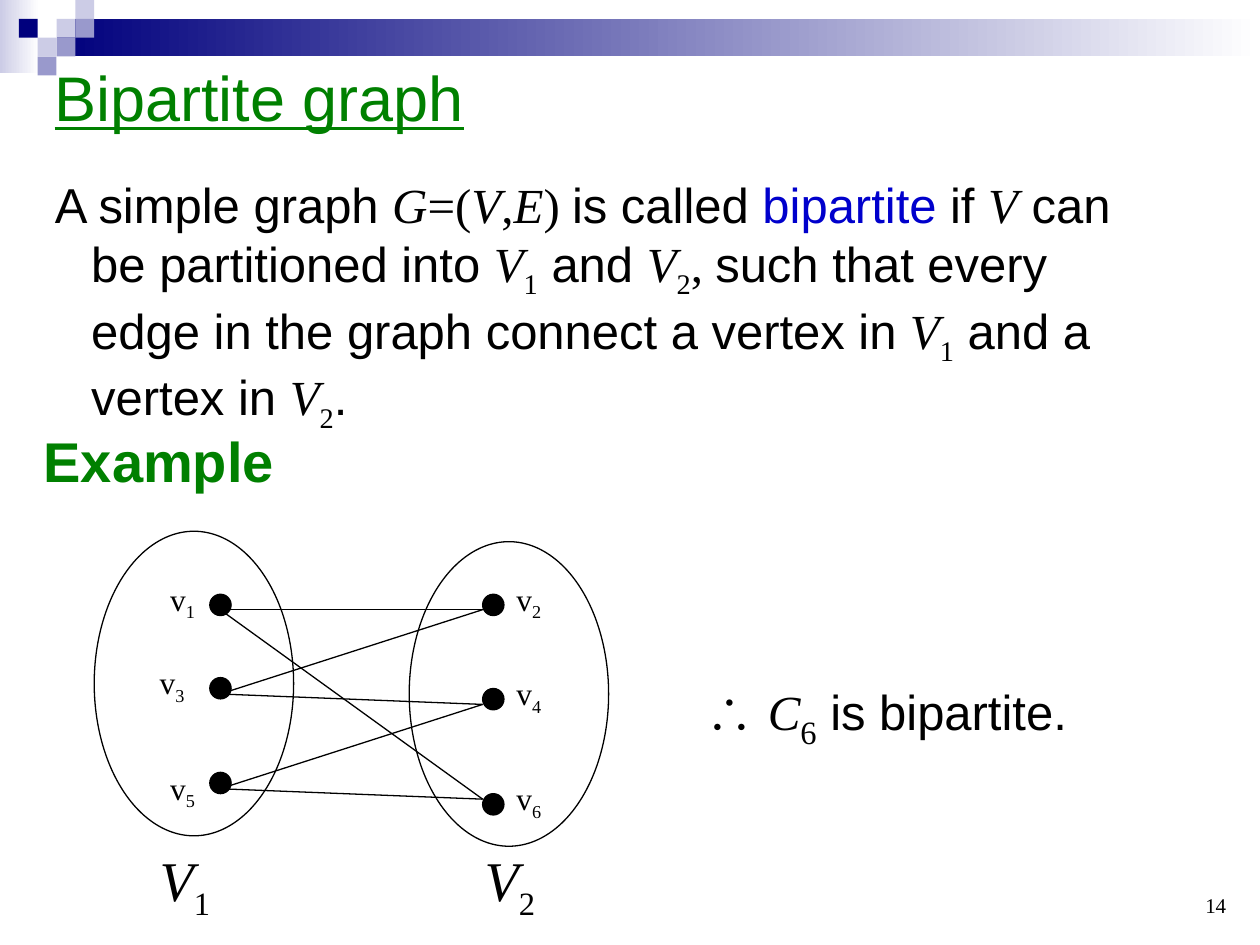
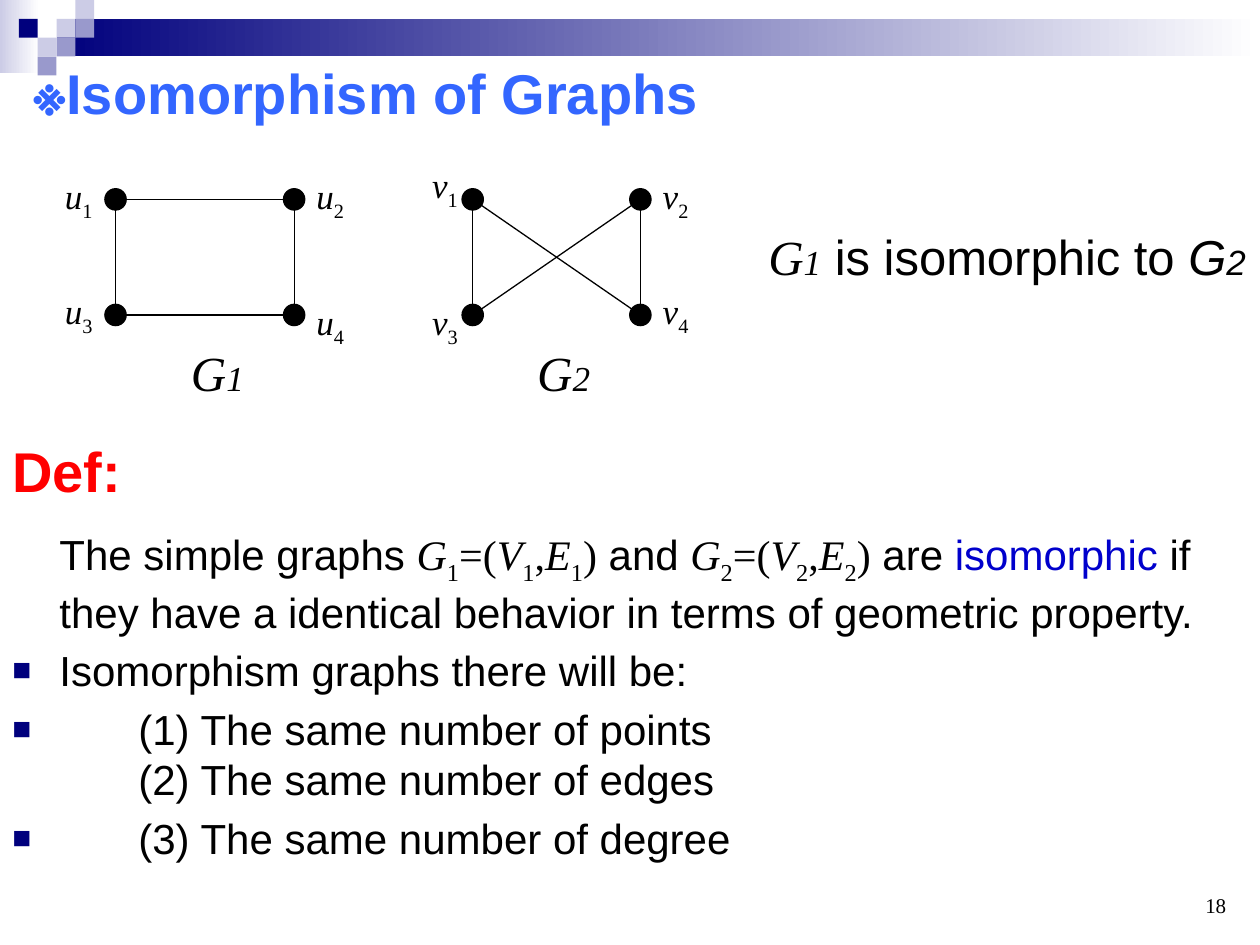
import dataclasses

import lxml.etree
import pptx
import pptx.dml.color
import pptx.enum.shapes
import pptx.enum.text
import pptx.oxml.ns
import pptx.util

Cm = pptx.util.Cm
Pt = pptx.util.Pt
qn = pptx.oxml.ns.qn
SHAPES = pptx.enum.shapes.MSO_SHAPE
ALIGN = pptx.enum.text.PP_ALIGN
ANCHOR = pptx.enum.text.MSO_ANCHOR
AUTO_SIZE = pptx.enum.text.MSO_AUTO_SIZE


@dataclasses.dataclass(frozen=True)
class Theme:
    """Colours, fonts and type sizes shared by the slides."""

    navy: str = "00007D"
    lilac: str = "9999CC"
    pale: str = "CCCCE6"
    white: str = "FFFFFF"
    ink: str = "000000"
    green: str = "008000"
    sky: str = "3366FF"
    red: str = "FF0000"
    term: str = "0000CC"
    sans: str = "Arial"
    serif: str = "Times New Roman"
    title: int = 36
    heading: int = 32
    body: int = 28
    detail: int = 24
    node: int = 20
    small_node: int = 18
    number: int = 12
    hairline: float = 0.75
    hanging: float = 0.95
    deep_hanging: float = 2.54
    dot: float = 0.43


THEME = Theme()


@dataclasses.dataclass(frozen=True)
class Box:
    """A region in centimetres."""

    left: float
    top: float
    width: float
    height: float

    def inner(self, x, y, width, height):
        """Return a box placed relative to this one."""
        return Box(self.left + x, self.top + y, width, height)

    def emu(self):
        """Return the four lengths for python-pptx."""
        return [Cm(v) for v in (self.left, self.top, self.width, self.height)]


@dataclasses.dataclass(frozen=True)
class Entry:
    """A body paragraph: its marked-up text, style and indents."""

    markup: str
    base: dict
    left: float = THEME.hanging
    hangs: bool = True
    bulleted: bool = False
    extra_space: float = 0


ITALIC = {"font": THEME.serif, "italic": True}
SUBSCRIPT = {"font": THEME.serif, "baseline": -25000}
RUN_STYLES = {
    "/": ITALIC,
    "~": {**ITALIC, "size": THEME.node},
    "^": {"font": THEME.serif},
    "_": SUBSCRIPT,
    "#": {**SUBSCRIPT, "size": THEME.heading},
    "!": {"color": THEME.term},
    "*": {"bold": True},
    ">": {"italic": True},
    "<": {"italic": True, "size": THEME.node},
}


def rgb(color):
    """Turn a hex string into a colour."""
    return pptx.dml.color.RGBColor.from_string(color)


def write(paragraph, markup, **base):
    """Write runs parted by bars, each styled by its first character."""
    for piece in markup.split("|"):
        if piece == "\n":
            paragraph.add_line_break()
            continue
        style = {"font": THEME.sans, "size": THEME.body, "color": THEME.ink, **base}
        if piece[0] in RUN_STYLES:
            style.update(RUN_STYLES[piece[0]])
            piece = piece[1:]
        run = paragraph.add_run()
        run.text = piece
        run.font.name = style["font"]
        run.font.size = Pt(style["size"])
        run.font.color.rgb = rgb(style["color"])
        run.font.bold = style.get("bold", False)
        run.font.italic = style.get("italic", False)
        run.font.underline = style.get("underline", False)
        if "baseline" in style:
            run.font._element.set("baseline", str(style["baseline"]))


def add_label(slide, box, markup, **base):
    """Add one unwrapped line of text."""
    frame = slide.shapes.add_textbox(*box.emu()).text_frame
    frame.word_wrap = False
    frame.auto_size = AUTO_SIZE.SHAPE_TO_FIT_TEXT
    write(frame.paragraphs[0], markup, **base)


def add_shape(slide, kind, box, fill=None, outline=None, fade=False):
    """Add a flat preset shape, with a fade to white if asked."""
    shape = slide.shapes.add_shape(kind, *box.emu())
    shape.shadow.inherit = False
    if fade:
        shape.fill.gradient()
        shape.fill.gradient_angle = 0
        for stop, color in zip(shape.fill.gradient_stops, (fill, THEME.white)):
            stop.color.rgb = rgb(color)
    elif fill:
        shape.fill.solid()
        shape.fill.fore_color.rgb = rgb(fill)
    else:
        shape.fill.background()
    if outline:
        shape.line.color.rgb = rgb(outline)
        shape.line.width = Pt(THEME.hairline)
    else:
        shape.line.fill.background()


def add_dot(slide, box, x, y):
    """Add a vertex dot by its top left corner in the box."""
    place = box.inner(x, y, THEME.dot, THEME.dot)
    add_shape(slide, SHAPES.OVAL, place, THEME.ink, THEME.ink)


def add_edge(slide, box, start, end):
    """Join two points of the box with a thin line."""
    ends = [Cm(v) for x, y in (start, end) for v in (box.left + x, box.top + y)]
    edge = slide.shapes.add_connector(pptx.enum.shapes.MSO_CONNECTOR.STRAIGHT, *ends)
    edge.line.color.rgb = rgb(THEME.ink)
    edge.line.width = Pt(THEME.hairline)
    lxml.etree.SubElement(edge._element.spPr, qn("a:effectLst"))


def add_bullet(properties):
    """Give a paragraph the navy square bullet."""
    color = lxml.etree.SubElement(properties, qn("a:buClr"))
    lxml.etree.SubElement(color, qn("a:srgbClr"), val=THEME.navy)
    lxml.etree.SubElement(properties, qn("a:buSzPct"), val="75000")
    lxml.etree.SubElement(properties, qn("a:buFont"), typeface=THEME.sans)
    lxml.etree.SubElement(properties, qn("a:buChar"), char="■")


def add_body(slide, box, entries):
    """Fill the box with one paragraph per entry."""
    frame = slide.shapes.add_textbox(*box.emu()).text_frame
    frame.word_wrap = True
    for index, entry in enumerate(entries):
        paragraph = frame.add_paragraph() if index else frame.paragraphs[0]
        paragraph.space_before = Pt(0.2 * entry.base["size"] + entry.extra_space)
        properties = paragraph._p.get_or_add_pPr()
        properties.set("marL", str(Cm(entry.left)))
        properties.set("indent", str(Cm(-entry.left if entry.hangs else 0)))
        if entry.bulleted:
            add_bullet(properties)
        write(paragraph, entry.markup, **entry.base)


def add_header(slide, box):
    """Draw the fading band and its mosaic of squares."""
    cell = box.height / 4
    add_shape(slide, SHAPES.RECTANGLE, box.inner(0, 0, 0.79, 1.47), THEME.pale, fade=True)
    band = box.inner(3 * cell, cell, box.width - 3 * cell, 2 * cell)
    add_shape(slide, SHAPES.RECTANGLE, band, THEME.navy, fade=True)
    mosaic = {
        THEME.pale: [(3, 1), (4, 0), (2, 2)],
        THEME.lilac: [(4, 1), (3, 2), (2, 3)],
        THEME.navy: [(1, 1)],
    }
    for color, cells in mosaic.items():
        for column, row in cells:
            square = box.inner(column * cell, row * cell, cell, cell)
            add_shape(slide, SHAPES.RECTANGLE, square, color)


def add_page_number(slide, box, number):
    """Put the page number at the lower right of the box."""
    frame = slide.shapes.add_textbox(*box.emu()).text_frame
    frame.word_wrap = True
    frame.vertical_anchor = ANCHOR.BOTTOM
    frame.paragraphs[0].alignment = ALIGN.RIGHT
    write(frame.paragraphs[0], f"^{number}", size=THEME.number)


def add_page(deck, number):
    """Add a blank slide with the shared header and page number."""
    slide = deck.slides.add_slide(deck.slide_layouts[6])
    add_header(slide, Box(0, 0, 25.4, 1.52))
    add_page_number(slide, Box(19.05, 17.35, 5.92, 1.27), number)
    return slide


def add_bipartite_graph(slide, box):
    """Draw the two vertex sets and the edges between them."""
    left_dot, right_dot = 2.33, 7.83
    left_port, right_port = 2.54, 7.83
    vertices = {
        1: (left_dot, 1.27, left_port, 1.58, 1.28, 0.85),
        3: (left_dot, 2.95, left_port, 3.28, 1.07, 2.54),
        5: (left_dot, 4.86, left_port, 5.19, 1.28, 4.66),
        2: (right_dot, 1.27, right_port, 1.58, 8.26, 0.85),
        4: (right_dot, 3.17, right_port, 3.49, 8.26, 2.75),
        6: (right_dot, 5.29, right_port, 5.4, 8.26, 4.87),
    }
    for number, set_x, set_y, name_x in ((1, 0, 0, 1.07), (2, 6.35, 0.21, 7.62)):
        add_shape(slide, SHAPES.OVAL, box.inner(set_x, set_y, 4.02, 6.14), outline=THEME.ink)
        name_box = box.inner(name_x, 6.21, 1.57, 1.63)
        add_label(slide, name_box, f"/V|_{number}", size=THEME.heading)
    for start, end in ((1, 2), (1, 6), (3, 2), (3, 4), (5, 4), (5, 6)):
        add_edge(slide, box, vertices[start][2:4], vertices[end][2:4])
    for number, (dot_x, dot_y, _, _, name_x, name_y) in vertices.items():
        add_dot(slide, box, dot_x, dot_y)
        name_box = box.inner(name_x, name_y, 1.04, 1.02)
        add_label(slide, name_box, f"^v|_{number}", size=THEME.small_node)


def add_square_graph(slide, box, letter, edges, left_shift, rises, caption, caption_x):
    """Draw a graph whose four vertices sit on the corners of the box."""
    corners = [(i % 2 * box.width, i // 2 * box.height) for i in range(4)]
    for start, end in edges:
        add_edge(slide, box, corners[start - 1], corners[end - 1])
    for number, ((x, y), rise) in enumerate(zip(corners, rises), 1):
        add_dot(slide, box, x - THEME.dot / 2, y - THEME.dot / 2)
        shift = 0.2 if x else left_shift
        name_box = box.inner(x + shift, y - rise, 1.12, 1.12)
        add_label(slide, name_box, f"/{letter}|_{number}", size=THEME.node)
    add_label(slide, box.inner(caption_x, 2.76, 1.6, 1.45), caption)


def build_bipartite_slide(deck):
    """Define bipartite graphs and show one."""
    slide = add_page(deck, 14)
    add_label(slide, Box(0.85, 1.06, 8.84, 1.8), "Bipartite graph",
              size=THEME.title, color=THEME.green, underline=True)
    definition = (
        " A simple graph |/G|^=(|/V|^,|/E|^) |is called |!bipartite| if |/V"
        "| can be partitioned into |/V|_1| and |/V|_2|^, "
        "|such that every edge in the graph connect a vertex in |/V|_1"
        "| and a vertex in |/V|_2|."
    )
    add_body(slide, Box(0.64, 3.39, 22.86, 5.51), [Entry(definition, {"size": THEME.body})])
    add_label(slide, Box(0.63, 8.47, 5.51, 1.63), "Example",
              size=THEME.heading, color=THEME.green, bold=True)
    add_bipartite_graph(slide, Box(1.9, 10.71, 10.36, 7.82))
    add_label(slide, Box(13.97, 13.47, 7.92, 1.45), "*∴ |/C|#6|* |is bipartite.")


def build_isomorphism_slide(deck):
    """Define isomorphic graphs and show a pair."""
    slide = add_page(deck, 18)
    add_label(slide, Box(0.43, 1.05, 14.35, 1.6), "※Isomorphism of Graphs",
              size=THEME.heading, color=THEME.sky, bold=True)
    sides = [(1, 3), (2, 4)]
    add_square_graph(slide, Box(2.33, 4.02, 3.6, 2.33), "u", sides + [(1, 2), (3, 4)],
                     -1.27, (0.62, 0.62, 0.63, 0.42), "/G|~1", 1.27)
    add_square_graph(slide, Box(9.53, 4.02, 3.38, 2.33), "v", sides + [(1, 4), (2, 3)],
                     -1.07, (0.84, 0.62, 0.42, 0.63), "/G|~2", 1.05)
    add_label(slide, Box(15.24, 4.45, 10.41, 1.45), "/G|~1| is isomorphic to |>G|<2")
    heading = {"size": THEME.heading, "color": THEME.red, "bold": True}
    detail = {"size": THEME.detail}
    definition = (
        "The simple graphs |/G|_1|^=(|/V|_1|^,|/E|_1|^)| and "
        "|/G|_2|^=(|/V|_2|^,|/E|_2|^)| are |!isomorphic "
        "|if they have a identical behavior in terms of geometric property."
    )
    criteria = (
        "(1) The same number of points|\n|(2) The same number of edges",
        "(3) The same number of degree",
    )
    entries = [
        Entry("Def:", heading),
        Entry(definition, detail, hangs=False, extra_space=9.6),
        Entry("Isomorphism graphs there will be:", detail, bulleted=True),
    ]
    entries += [Entry(line, detail, THEME.deep_hanging, bulleted=True) for line in criteria]
    add_body(slide, Box(0, 8.67, 25.4, 9.09), entries)


def main():
    """Build both slides and save the deck."""
    deck = pptx.Presentation()
    deck.slide_width, deck.slide_height = Cm(25.4), Cm(19.05)
    build_bipartite_slide(deck)
    build_isomorphism_slide(deck)
    deck.save("out.pptx")


if __name__ == "__main__":
    main()
